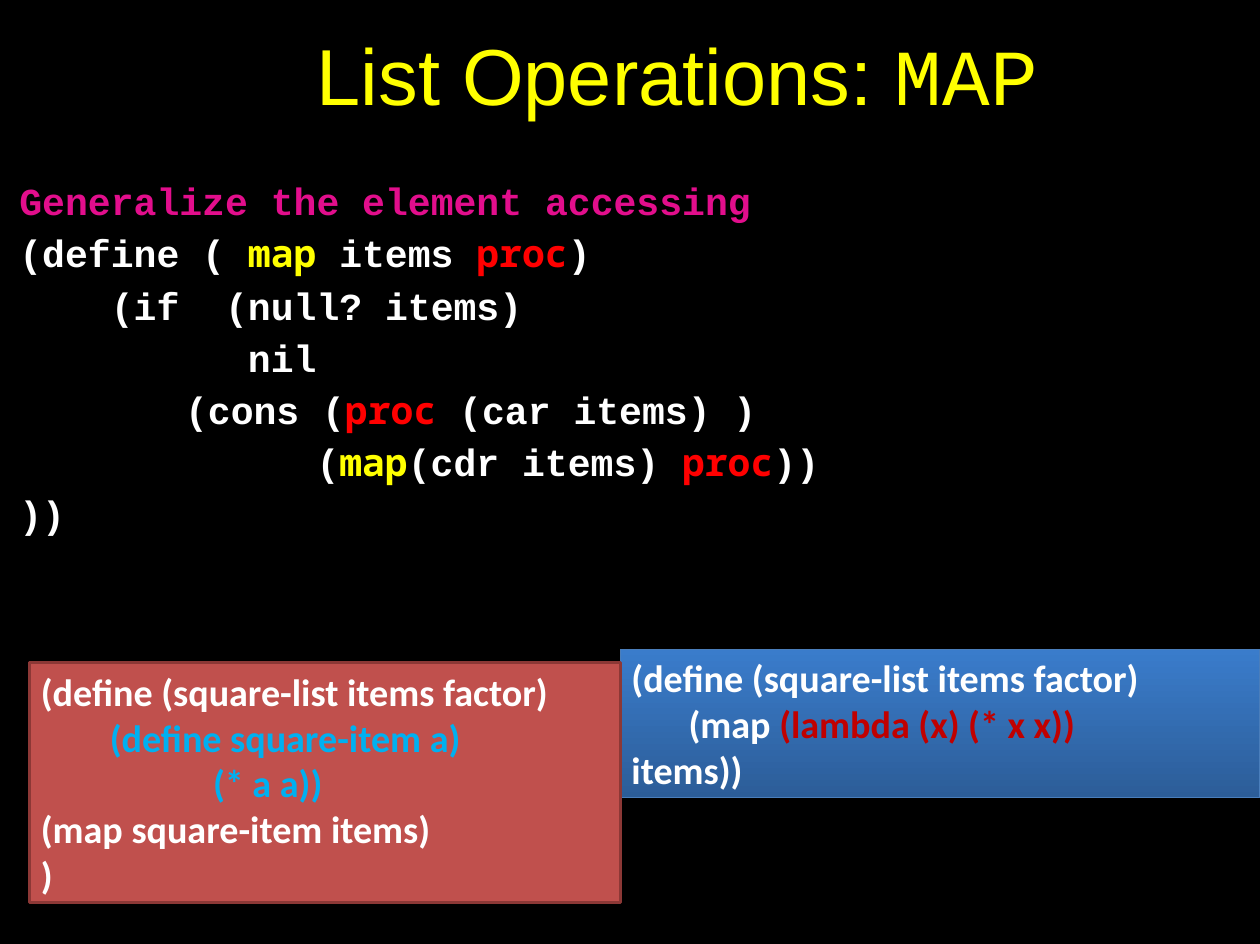
from pptx import Presentation
from pptx.dml.color import RGBColor
from pptx.enum.shapes import MSO_SHAPE as Shape
from pptx.enum.text import MSO_ANCHOR as Anchor, PP_ALIGN as Align
from pptx.util import Inches, Pt

BLACK = RGBColor(0x00, 0x00, 0x00)
WHITE = RGBColor(0xFF, 0xFF, 0xFF)
YELLOW = RGBColor(0xFF, 0xFF, 0x00)
PINK = RGBColor(0xE2, 0x0E, 0x8C)
RED = RGBColor(0xFF, 0x00, 0x00)
DARK_RED = RGBColor(0xC0, 0x00, 0x00)
SKY = RGBColor(0x00, 0xB0, 0xF0)
BRICK = RGBColor(0xC0, 0x50, 0x4D)
BRICK_EDGE = RGBColor(0x8C, 0x38, 0x36)
BLUE_DARK = RGBColor(0x2C, 0x5D, 0x98)
BLUE_LIGHT = RGBColor(0x3A, 0x7C, 0xCB)
BLUE_EDGE = RGBColor(0x4A, 0x7E, 0xBB)

HEADING, CODE, NAME, EXAMPLE = "Arial", "Courier New", "Noto Sans Mono", "Calibri"

MAP_CODE = [
    [("Generalize the element accessing", CODE, PINK)],
    [("(define ( ", CODE, WHITE), ("map ", NAME, YELLOW), ("items ", CODE, WHITE),
     ("proc", NAME, RED), (")", CODE, WHITE)],
    [("    (if  (null? items)", CODE, WHITE)],
    [("          nil", CODE, WHITE)],
    [("\t      (cons (", CODE, WHITE), ("proc ", NAME, RED), ("(car items) )", CODE, WHITE)],
    [("             (", CODE, WHITE), ("map", NAME, YELLOW), ("(cdr items) ", CODE, WHITE),
     ("proc", NAME, RED), ("))", CODE, WHITE)],
    [("))", CODE, WHITE)],
]
LAMBDA_CODE = [
    [("(define (square-list items factor)", EXAMPLE, WHITE)],
    [("\t(map ", EXAMPLE, WHITE), ("(lambda (x) (* x x))", EXAMPLE, DARK_RED)],
    [("items))", EXAMPLE, WHITE)],
]
NAMED_CODE = [
    [("(define (square-list items factor)", EXAMPLE, WHITE)],
    [("        (define square-item a)", EXAMPLE, SKY)],
    [("                    (* a a))", EXAMPLE, SKY)],
    [("(map square-item items)", EXAMPLE, WHITE)],
    [(")", EXAMPLE, WHITE)],
]


def write_lines(frame, lines, size, bold, margins):
    frame.word_wrap = True
    frame.vertical_anchor = Anchor.TOP
    side, top, bottom = margins
    frame.margin_left = frame.margin_right = Inches(side)
    frame.margin_top, frame.margin_bottom = Inches(top), Inches(bottom)
    for index, line in enumerate(lines):
        paragraph = frame.add_paragraph() if index else frame.paragraphs[0]
        paragraph.alignment = Align.LEFT
        for text, font_name, color in line:
            run = paragraph.add_run()
            run.text = text
            run.font.name = font_name
            run.font.size = Pt(size)
            run.font.bold = bold
            run.font.color.rgb = color


def add_title(slide, box):
    frame = slide.shapes.add_textbox(*map(Inches, box)).text_frame
    line = [("List Operations: ", HEADING, YELLOW), ("MAP", CODE, YELLOW)]
    write_lines(frame, [line], 50, False, (0, 0.08, 0))
    frame.paragraphs[0].alignment = Align.CENTER


def add_map_code(slide, box):
    frame = slide.shapes.add_textbox(*map(Inches, box)).text_frame
    write_lines(frame, MAP_CODE, 24, True, (0, 0.03, 0))
    for paragraph in frame.paragraphs:
        paragraph.line_spacing = Pt(32.8)
        properties = paragraph._p.get_or_add_pPr()
        properties.set("marL", str(Inches(0.26)))
        properties.set("indent", str(Inches(-0.25)))


def add_example(slide, box, lines, edge, edge_width):
    shape = slide.shapes.add_shape(Shape.RECTANGLE, *map(Inches, box))
    shape.shadow.inherit = False
    shape.line.color.rgb = edge
    shape.line.width = Pt(edge_width)
    write_lines(shape.text_frame, lines, 24, True, (0.1, 0.05, 0.05))
    return shape.fill


def add_lambda_example(slide, box):
    fill = add_example(slide, box, LAMBDA_CODE, BLUE_EDGE, 0.75)
    fill.gradient()
    fill.gradient_angle = 90
    for stop, color, position in zip(fill.gradient_stops, (BLUE_DARK, BLUE_LIGHT), (0, 1)):
        stop.color.rgb = color
        stop.position = position


def add_named_example(slide, box):
    fill = add_example(slide, box, NAMED_CODE, BRICK_EDGE, 2)
    fill.solid()
    fill.fore_color.rgb = BRICK


def main():
    presentation = Presentation()
    presentation.slide_width = Inches(11.03)
    presentation.slide_height = Inches(8.26)
    slide = presentation.slides.add_slide(presentation.slide_layouts[6])
    slide.background.fill.solid()
    slide.background.fill.fore_color.rgb = BLACK
    add_title(slide, (1.3, 0.15, 9.26, 0.86))
    add_map_code(slide, (0.16, 1.47, 9.78, 3.19))
    add_lambda_example(slide, (5.43, 5.68, 5.6, 1.3))
    add_named_example(slide, (0.26, 5.8, 5.17, 2.1))
    presentation.save("out.pptx")


if __name__ == "__main__":
    main()
